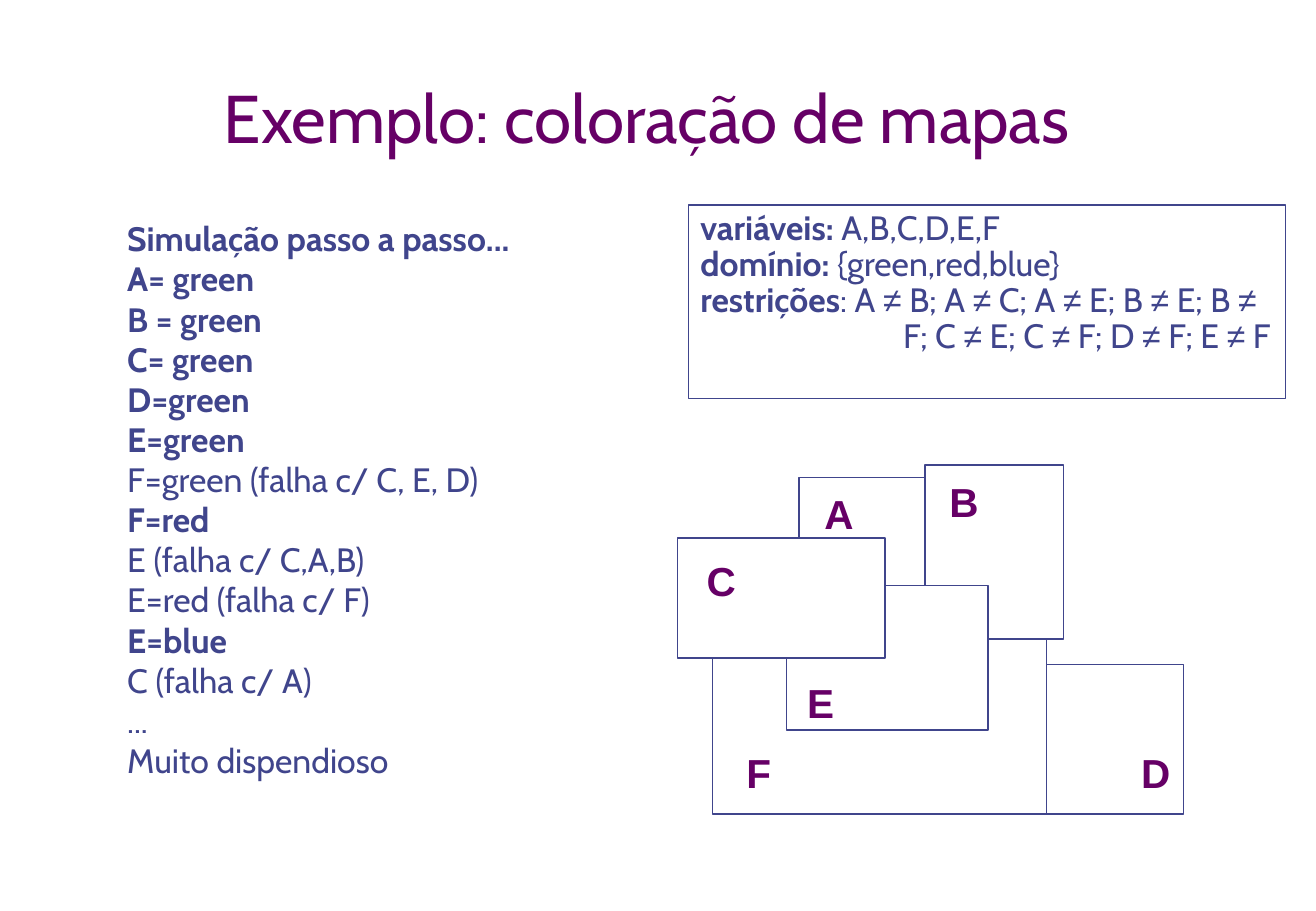
from dataclasses import dataclass

import pptx
import pptx.dml.color
import pptx.enum.shapes
import pptx.enum.text
import pptx.util

Inches = pptx.util.Inches
ALIGN = pptx.enum.text.PP_ALIGN
ANCHOR = pptx.enum.text.MSO_ANCHOR

COLORS = {"ink": "40458C", "accent": "660066", "paper": "FFFFFF"}
BODY = {"name": "Cabin", "size": pptx.util.Pt(20)}
TITLE = {"name": "Cabin", "size": pptx.util.Pt(40)}
LABEL = {"name": "Arial", "size": pptx.util.Pt(24), "bold": True}
HANGING = 1.67


@dataclass(frozen=True)
class Box:
    left: float
    top: float
    width: float
    height: float

    def lengths(self) -> list:
        return [Inches(v) for v in (self.left, self.top, self.width, self.height)]


@dataclass(frozen=True)
class Region:
    name: str
    box: Box
    label: Box


@dataclass(frozen=True)
class Step:
    text: str
    bold: bool = False


@dataclass(frozen=True)
class Definition:
    term: str
    value: str


# Listed from back to front
REGIONS = [
    Region("D", Box(8.28, 5.47, 1.47, 1.23), Box(9.3, 6.11, 0.44, 0.5)),
    Region("F", Box(5.87, 5.12, 2.75, 1.58), Box(6.05, 6.11, 0.4, 0.5)),
    Region("A", Box(6.58, 3.93, 1.33, 1.28), Box(6.69, 3.98, 0.44, 0.5)),
    Region("B", Box(7.62, 3.83, 1.14, 1.43), Box(7.72, 3.88, 0.44, 0.5)),
    Region("E", Box(6.48, 4.82, 1.66, 1.19), Box(6.55, 5.53, 0.42, 0.5)),
    Region("C", Box(5.58, 4.43, 1.71, 0.99), Box(5.72, 4.53, 0.44, 0.5)),
]

STEPS = [
    Step("Simulação passo a passo...", True),
    Step("A= green", True),
    Step("B = green", True),
    Step("C= green", True),
    Step("D=green", True),
    Step("E=green", True),
    Step("F=green (falha c/ C, E, D)"),
    Step("F=red", True),
    Step("E (falha c/ C,A,B)"),
    Step("E=red (falha c/ F)"),
    Step("E=blue", True),
    Step("C (falha c/ A)"),
    Step("..."),
    Step("Muito dispendioso"),
]

DEFINITIONS = [
    Definition("variáveis:", " A,B,C,D,E,F"),
    Definition("domínio:", " {green,red,blue}"),
    Definition("restrições", ": A ≠ B; A ≠ C; A ≠ E; B ≠ E; B ≠ F; "
                             "C ≠ E; C ≠ F; D ≠ F; E ≠ F"),
]


def rgb(color: str) -> pptx.dml.color.RGBColor:
    return pptx.dml.color.RGBColor.from_string(COLORS[color])


def add_run(p, text: str, color: str, style: dict) -> None:
    r = p.add_run()
    r.text = text
    r.font.color.rgb = rgb(color)
    for attr, value in style.items():
        setattr(r.font, attr, value)


def next_paragraph(tf, index: int):
    """Return the frame's first paragraph for index 0, else a new one."""
    return tf.add_paragraph() if index else tf.paragraphs[0]


def add_rect(shapes, box: Box, filled: bool):
    sp = shapes.add_shape(pptx.enum.shapes.MSO_SHAPE.RECTANGLE, *box.lengths())
    sp.shadow.inherit = False
    if filled:
        sp.fill.solid()
        sp.fill.fore_color.rgb = rgb("paper")
    else:
        sp.fill.background()
    sp.line.color.rgb = rgb("ink")
    sp.line.width = pptx.util.Pt(1)
    return sp


def add_centered_text(shapes, box: Box, text: str, style: dict,
                      anchor=ANCHOR.TOP, wrap: bool = False) -> None:
    tf = shapes.add_textbox(*box.lengths()).text_frame
    tf.word_wrap = wrap
    tf.vertical_anchor = anchor
    p = tf.paragraphs[0]
    p.alignment = ALIGN.CENTER
    add_run(p, text, "accent", style)


def add_steps(shapes, box: Box) -> None:
    tf = shapes.add_textbox(*box.lengths()).text_frame
    tf.word_wrap = True
    for i, step in enumerate(STEPS):
        p = next_paragraph(tf, i)
        p.line_spacing = 0.99
        add_run(p, step.text, "ink", {**BODY, "bold": step.bold})


def add_map(shapes) -> None:
    group = shapes.add_group_shape().shapes
    for region in REGIONS:
        add_rect(group, region.box, filled=True)
    for region in REGIONS:
        add_centered_text(group, region.label, region.name, LABEL)


def add_definitions(shapes, box: Box) -> None:
    """Draw the framed problem statement, with each ≠ set in Arial."""
    tf = add_rect(shapes, box, filled=False).text_frame
    tf.word_wrap = True
    tf.vertical_anchor = ANCHOR.TOP
    for i, definition in enumerate(DEFINITIONS):
        p = next_paragraph(tf, i)
        p.alignment = ALIGN.LEFT
        p.line_spacing = 0.89
        pPr = p._p.get_or_add_pPr()
        pPr.set("marL", str(Inches(HANGING)))
        pPr.set("indent", str(-Inches(HANGING)))
        add_run(p, definition.term, "ink", {**BODY, "bold": True})
        for j, piece in enumerate(definition.value.split("≠")):
            if j:
                add_run(p, "≠", "ink", {**BODY, "name": "Arial", "bold": False})
            add_run(p, piece, "ink", {**BODY, "bold": False})


def main() -> None:
    prs = pptx.Presentation()
    prs.slide_width, prs.slide_height = Inches(10.84), Inches(7.5)
    s = prs.slides.add_slide(prs.slide_layouts[6])
    add_steps(s.shapes, Box(0.95, 1.76, 3.84, 4.73))
    add_map(s.shapes)
    add_centered_text(s.shapes, Box(0.72, 0.42, 9.21, 0.92),
                      "Exemplo: coloração de mapas", TITLE, ANCHOR.BOTTOM, True)
    add_definitions(s.shapes, Box(5.67, 1.69, 4.92, 1.59))
    prs.save("out.pptx")


if __name__ == "__main__":
    main()
